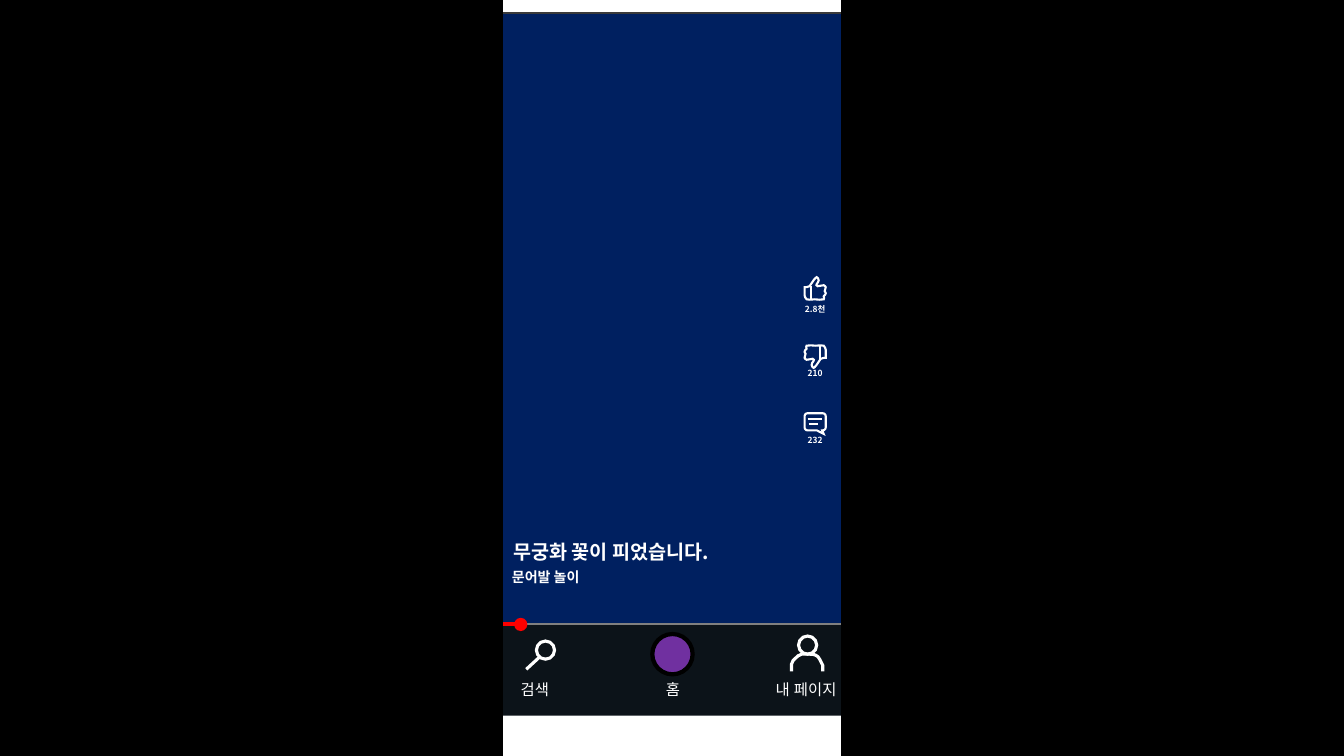
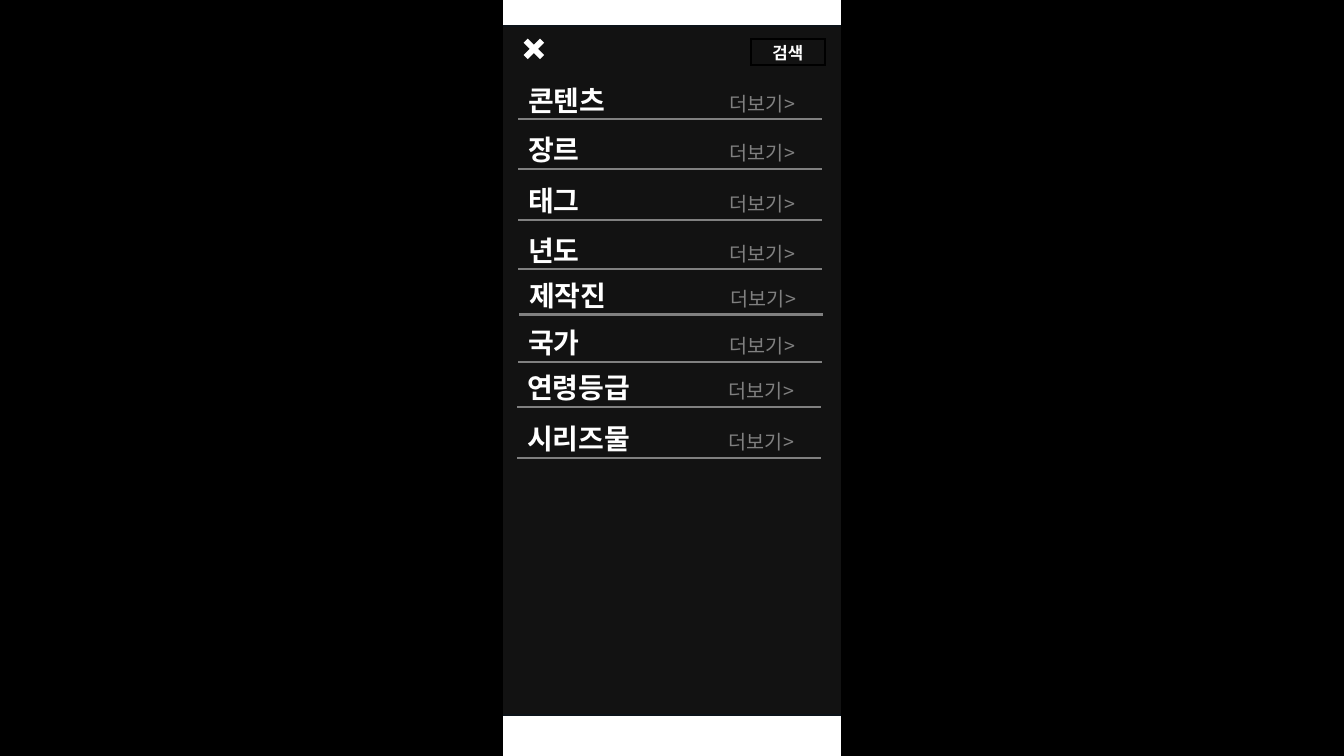
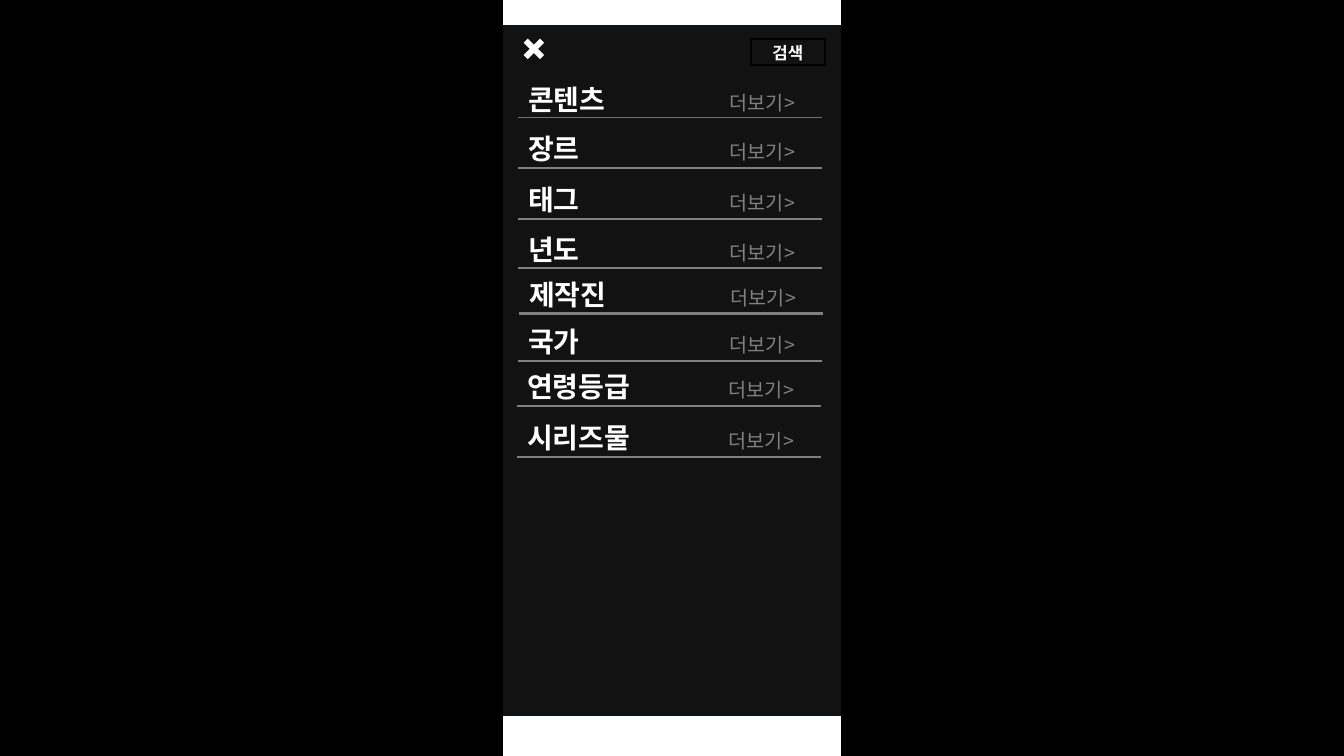
"""Build three mobile-app mockup slides: a short-video screen and two search menus."""
from dataclasses import dataclass
from typing import Optional

from lxml.etree import SubElement
from pptx import Presentation
from pptx.dml.color import RGBColor
from pptx.enum.shapes import MSO_CONNECTOR, MSO_SHAPE
from pptx.enum.text import MSO_ANCHOR, MSO_AUTO_SIZE, PP_ALIGN
from pptx.oxml.ns import qn
from pptx.util import Inches, Pt

FONT = "Noto Sans CJK KR"
COLORS = {
    "white": "FFFFFF", "black": "000000", "video": "002060", "frame": "3A3A3A",
    "nav": "0C1319", "menu": "121212", "gray": "808080", "red": "FF0000",
    "home": "7030A0",
}
THUMB_START = (-6, -2)
THUMB_CURVES = [
    ((-5, -3), (-3, -7), (-2, -8)), ((0, -10), (0, -11), (1, -11)),
    ((2, -11), (3, -9), (3, -8)), ((3, -7), (2, -5), (1, -4)),
    ((1, -3), (0, -3), (2, -2)), ((3, -2), (7, -3), (8, -3)),
    ((9, -2), (10, -2), (10, -1)), ((10, 0), (9, 2), (9, 3)),
    ((9, 4), (11, 5), (10, 5)), ((10, 6), (9, 7), (8, 8)),
    ((8, 9), (9, 11), (8, 11)), ((6, 12), (2, 11), (-1, 11)),
    ((-4, 11), (-8, 12), (-9, 11)), ((-11, 10), (-10, 8), (-11, 7)),
    ((-11, 6), (-11, 4), (-11, 3)), ((-11, 2), (-11, 0), (-11, -1)),
    ((-10, -1), (-8, -1), (-6, -2)),
]
SHOULDERS_START = (-15, 0)
SHOULDERS_CURVES = [
    ((-15, -3), (-15, -5), (-15, -7)), ((-14, -10), (-13, -12), (-11, -13)),
    ((-10, -15), (-7, -16), (-5, -17)), ((-2, -17), (1, -17), (3, -17)),
    ((6, -17), (7, -17), (9, -16)), ((11, -15), (12, -14), (13, -12)),
    ((14, -10), (15, -8), (16, -6)), ((16, -4), (16, -2), (16, 0)),
]


@dataclass(frozen=True)
class Piece:
    """A run of text with its own size, weight and colour."""
    text: str
    size: float
    bold: bool = False
    color: str = "white"


@dataclass(frozen=True)
class MenuRow:
    """A search category, its place on the menu and the drop to its underline."""
    title: str
    left: float
    top: float
    drop: float = 0.41


@dataclass(frozen=True)
class Caption:
    """A centred label below an icon."""
    pieces: tuple
    left: float
    top: float
    width: float
    height: float


MENU_ROWS = [
    MenuRow("콘텐츠", 5.14, 0.78, 0.4), MenuRow("장르", 5.14, 1.27),
    MenuRow("태그", 5.14, 1.77), MenuRow("년도", 5.14, 2.27, 0.4),
    MenuRow("제작진", 5.15, 2.71), MenuRow("국가", 5.14, 3.18),
    MenuRow("연령등급", 5.13, 3.63), MenuRow("시리즈물", 5.13, 4.13),
]
CAPTIONS = [
    *(Caption((Piece(count, 6, True),), 7.82, top, 0.53, 0.2)
      for count, top in (("2.8천", 2.97), ("210", 3.6), ("232", 4.27))),
    Caption((Piece("검색", 11),), 4.97, 6.7, 0.67, 0.29),
    Caption((Piece("홈", 11),), 6.34, 6.7, 0.67, 0.29),
    Caption((Piece("내", 11), Piece("　", 3), Piece("페이지", 11)), 7.52, 6.7, 0.95, 0.29),
]


def rgb(color: str) -> RGBColor:
    """Look up a palette colour."""
    return RGBColor.from_string(COLORS[color])


def paint(shape, fill: Optional[str], line: Optional[str], weight: float) -> None:
    """Set the fill and sharp-cornered outline of a shape and drop its shadow."""
    shape.shadow.inherit = False
    if fill:
        shape.fill.solid()
        shape.fill.fore_color.rgb = rgb(fill)
    else:
        shape.fill.background()
    if line:
        shape.line.color.rgb = rgb(line)
        shape.line.width = Pt(weight)
        SubElement(shape._element.spPr.find(qn("a:ln")), qn("a:miter"), lim="800000")
    else:
        shape.line.fill.background()


def add_block(slide, box: tuple, *, kind=MSO_SHAPE.RECTANGLE, fill: Optional[str] = None,
              line: Optional[str] = None, weight: float = 1.5, adjust: tuple = ()):
    """Add a preset shape at a box given in inches."""
    block = slide.shapes.add_shape(kind, *map(Inches, box))
    for index, value in enumerate(adjust):
        block.adjustments[index] = value
    paint(block, fill, line, weight)
    return block


def add_rule(slide, start: tuple, end: tuple, *, color: str = "white", weight: float = 1.5) -> None:
    """Add a straight line between two points."""
    rule = slide.shapes.add_connector(
        MSO_CONNECTOR.STRAIGHT, *map(Inches, (*start, *end)))
    rule.line.color.rgb = rgb(color)
    rule.line.width = Pt(weight)
    SubElement(rule._element.spPr, qn("a:effectLst"))


def add_text(slide, pieces: tuple, box: tuple, *, align=PP_ALIGN.LEFT, anchor=MSO_ANCHOR.TOP,
             fill: Optional[str] = None, line: Optional[str] = None,
             tab: Optional[float] = None, grow: bool = True) -> None:
    """Add formatted text, in a painted rectangle or in a plain text box."""
    if fill:
        holder = add_block(slide, box, fill=fill, line=line)
    else:
        holder = slide.shapes.add_textbox(*map(Inches, box))
    frame = holder.text_frame
    frame.word_wrap = True
    frame.vertical_anchor = anchor
    if grow:
        frame.auto_size = MSO_AUTO_SIZE.SHAPE_TO_FIT_TEXT
    paragraph = frame.paragraphs[0]
    paragraph.alignment = align
    if tab:
        stops = SubElement(paragraph._p.get_or_add_pPr(), qn("a:tabLst"))
        SubElement(stops, qn("a:tab"), pos=str(Inches(tab)), algn="l")
    for piece in pieces:
        run = paragraph.add_run()
        run.text = piece.text
        run.font.size = Pt(piece.size)
        run.font.bold = piece.bold
        run.font.color.rgb = rgb(piece.color)
        run.font.name = FONT
        SubElement(run._r.get_or_add_rPr(), qn("a:ea"), typeface=FONT)


def add_curve(slide, center: tuple, start: tuple, curves: list, *, turn: int = 1,
              close: bool = False, weight: float = 1.5, steps: int = 2) -> None:
    """Trace cubic curves, given in hundredths of an inch around a centre."""
    def place(point: tuple) -> tuple:
        """Move a local point onto the slide."""
        return tuple(Inches(c + turn * p / 100) for c, p in zip(center, point))

    points, last = [], start
    for first, second, end in curves:
        for step in range(1, steps + 1):
            t = step / steps
            u = 1 - t
            points.append(place(tuple(
                u ** 3 * a + 3 * u * u * t * b + 3 * u * t * t * c + t ** 3 * d
                for a, b, c, d in zip(last, first, second, end))))
        last = end
    if close:
        points.pop()
    builder = slide.shapes.build_freeform(*place(start))
    builder.add_line_segments(points, close=close)
    paint(builder.convert_to_shape(), None, "white", weight)


def add_thumb(slide, center: tuple, turn: int) -> None:
    """Draw a thumb pointing up (turn 1) or down (turn -1)."""
    add_curve(slide, center, THUMB_START, THUMB_CURVES, turn=turn, close=True)
    x, y = center
    cuff = x - turn * 0.05
    add_rule(slide, (cuff, y - turn * 0.02), (cuff, y + turn * 0.11))


def add_curtains(slide) -> None:
    """Black out both sides of the phone screen."""
    for left in (0, 8.35):
        add_block(slide, (left, 0, 4.98, 7.5), fill="black", line="black")


def add_menu_row(slide, row: MenuRow, shift: float) -> None:
    """Draw one category with its link and underline."""
    top = row.top + shift
    pieces = (Piece(row.title, 20, True), Piece("\t", 18), Piece("더보기>", 14, color="gray"))
    add_text(slide, pieces, (row.left, top, 3.06, 0.44), fill="menu", tab=2)
    underline = top + row.drop
    add_rule(slide, (row.left, underline), (row.left + 3.01, underline), color="gray")


def build_video(slide) -> None:
    """Draw the short-video screen."""
    add_block(slide, (4.68, 0.13, 3.68, 6.84), fill="video", line="frame")
    add_block(slide, (4.91, 6.19, 3.52, 0.91), fill="nav")
    add_thumb(slide, (8.09, 2.86), 1)
    add_thumb(slide, (8.08, 3.54), -1)
    add_block(slide, (7.98, 4.1, 0.21, 0.17), kind=MSO_SHAPE.ROUNDED_RECTANGULAR_CALLOUT,
              line="white", adjust=(0.4, 0.7, 0.17))
    add_rule(slide, (8.01, 4.16), (8.15, 4.16))
    add_rule(slide, (8.02, 4.21), (8.11, 4.21))
    add_block(slide, (6.47, 6.29, 0.4, 0.4), kind=MSO_SHAPE.OVAL,
              fill="home", line="black", weight=3)
    for caption in CAPTIONS:
        add_text(slide, caption.pieces,
                 (caption.left, caption.top, caption.width, caption.height),
                 align=PP_ALIGN.CENTER)
    for left, top in ((7.92, 6.31), (5.32, 6.36)):
        add_block(slide, (left, top, 0.18, 0.18), kind=MSO_SHAPE.OVAL,
                  line="white", weight=2.25)
    add_curve(slide, (8, 6.66), SHOULDERS_START, SHOULDERS_CURVES, weight=2.25)
    add_rule(slide, (5.35, 6.52), (5.22, 6.64), weight=2.25)
    add_rule(slide, (4.74, 6.19), (5.11, 6.19), color="red", weight=3)
    add_rule(slide, (5.22, 6.19), (8.35, 6.19), color="gray")
    add_block(slide, (5.11, 6.14, 0.11, 0.11), kind=MSO_SHAPE.OVAL, fill="red", line="red")
    add_text(slide, (Piece("무궁화 꽃이 피었습니다.", 14, True),), (4.99, 5.31, 3.36, 0.34))
    add_text(slide, (Piece("문어발 놀이", 10, True),), (4.98, 5.59, 3.36, 0.27))
    add_curtains(slide)


def build_menu(slide, shift: float = 0, backed: bool = False) -> None:
    """Draw a search menu, optionally with a panel behind the lower rows."""
    add_block(slide, (4.78, 0.26, 3.74, 6.83), fill="menu", line="nav")
    first, *others = MENU_ROWS
    add_menu_row(slide, first, shift)
    if backed:
        add_block(slide, (5.05, 1.17, 3.23, 3.34), fill="menu")
    for row in others:
        add_menu_row(slide, row, shift)
    add_curtains(slide)
    add_text(slide, (Piece("검색", 12, True),), (7.45, 0.39, 0.73, 0.26), fill="menu",
             line="black", align=PP_ALIGN.CENTER, anchor=MSO_ANCHOR.MIDDLE, grow=False)
    close_mark = add_block(slide, (5.19, 0.38, 0.21, 0.21), kind=MSO_SHAPE.CROSS,
                           fill="white", line="white", adjust=(0.41,))
    close_mark.rotation = 45


def main() -> None:
    """Build and save the deck."""
    deck = Presentation()
    deck.slide_width, deck.slide_height = Inches(13.33), Inches(7.5)
    blank = deck.slide_layouts[6]
    build_video(deck.slides.add_slide(blank))
    build_menu(deck.slides.add_slide(blank))
    build_menu(deck.slides.add_slide(blank), shift=-0.01, backed=True)
    deck.save("out.pptx")


if __name__ == "__main__":
    main()
